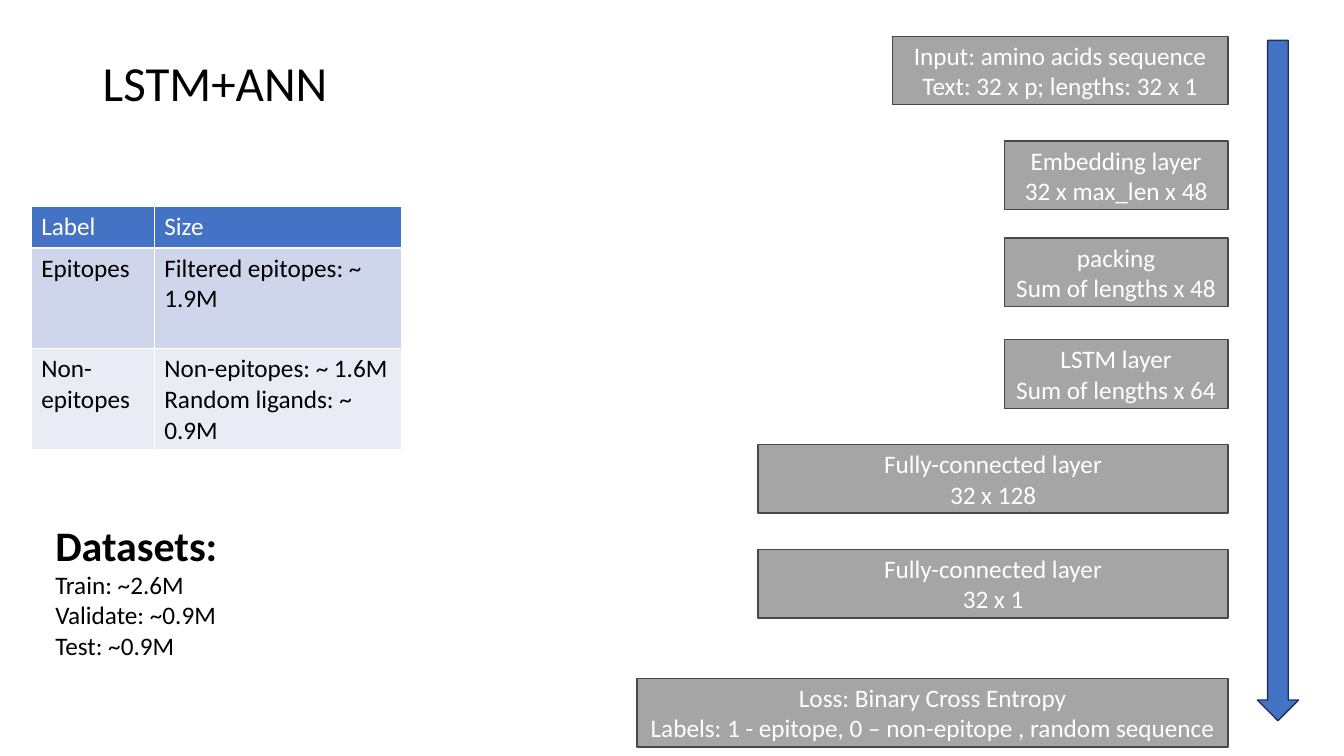
from pptx import Presentation
from pptx.dml.color import RGBColor
from pptx.enum.shapes import MSO_SHAPE
from pptx.enum.text import MSO_ANCHOR, PP_ALIGN
from pptx.util import Pt

PX = 9144
FONT = "Calibri"
COLORS = {
    "black": "000000",
    "white": "FFFFFF",
    "layer": "A5A5A5",
    "layer_line": "484848",
    "accent": "4472C4",
    "arrow_line": "1E3256",
    "odd_row": "CFD5EA",
    "even_row": "E9EBF5",
}
LAYERS = [
    (36, 333, "Input: amino acids sequence\nText: 32 x p; lengths: 32 x 1"),
    (140, 222, "Embedding layer\n32 x max_len x 48"),
    (236, 222, "packing\nSum of lengths x 48"),
    (337, 222, "LSTM layer\nSum of lengths x 64"),
    (441, 466, "Fully-connected layer\n32 x 128"),
    (545, 466, "Fully-connected layer\n32 x 1"),
    (673, 586, "Loss: Binary Cross Entropy\n"
               "Labels: 1 - epitope, 0 – non-epitope , random sequence"),
]
LABEL_ROWS = [
    ("Label", "Size"),
    ("Epitopes", "Filtered epitopes: ~ 1.9M"),
    ("Non-epitopes", "Non-epitopes: ~ 1.6M\nRandom ligands: ~ 0.9M"),
]


def rgb(name):
    """Return the named colour."""
    return RGBColor.from_string(COLORS[name])


def emu(*lengths):
    """Turn px lengths into EMU."""
    return [length * PX for length in lengths]


def style(p, size, color, bold=False):
    """Format every run of a paragraph."""
    for r in p.runs:
        r.font.name = FONT
        r.font.size = Pt(size)
        r.font.bold = bold
        r.font.color.rgb = rgb(color)


def add_box(slide, kind, box, fill, line):
    """Add a filled, outlined shape without shadow."""
    sp = slide.shapes.add_shape(kind, *emu(*box))
    sp.shadow.inherit = False
    sp.fill.solid()
    sp.fill.fore_color.rgb = rgb(fill)
    sp.line.color.rgb = rgb(line)
    sp.line.width = Pt(1)
    return sp


def add_text(slide, box):
    """Add an empty wrapping text box and return its frame."""
    tf = slide.shapes.add_textbox(*emu(*box)).text_frame
    tf.word_wrap = True
    return tf


def add_title(slide, box):
    """Add the slide title."""
    tf = add_text(slide, box)
    tf.vertical_anchor = MSO_ANCHOR.MIDDLE
    tf.text = "LSTM+ANN"
    p = tf.paragraphs[0]
    p.line_spacing = 0.9
    style(p, 35, "black")


def add_label_table(slide, box):
    """Add the table of label sizes."""
    x, y, w, h = box
    shape = slide.shapes.add_table(len(LABEL_ROWS), 2, *emu(x, y, w, h))
    table = shape.table
    header_h, label_w = 41, 122
    body_h = (h - header_h) // 2
    for column, width in zip(table.columns, emu(label_w, w - label_w)):
        column.width = width
    for row, height in zip(table.rows, emu(header_h, body_h, body_h)):
        row.height = height
    fills = ("accent", "odd_row", "even_row")
    for i, (texts, fill) in enumerate(zip(LABEL_ROWS, fills)):
        for j, text in enumerate(texts):
            cell = table.cell(i, j)
            cell.fill.solid()
            cell.fill.fore_color.rgb = rgb(fill)
            cell.text_frame.text = text
            for p in cell.text_frame.paragraphs:
                style(p, 18, "black" if i else "white")


def add_datasets(slide, box):
    """Add the list of dataset sizes."""
    tf = add_text(slide, box)
    heading = tf.paragraphs[0]
    heading.text = "Datasets:"
    style(heading, 30, "black", bold=True)
    p = tf.add_paragraph()
    p.text = "Train: ~2.6M\nValidate: ~0.9M\nTest: ~0.9M"
    style(p, 18, "black")


def add_network(slide, box):
    """Add the right-aligned layers and the arrow beside them."""
    x, y, w, h = box
    arrow_w, gap = 41, 29
    right = x + w - arrow_w - gap
    for top, width, text in LAYERS:
        sp = add_box(slide, MSO_SHAPE.RECTANGLE,
                     (right - width, y + top, width, 68),
                     "layer", "layer_line")
        tf = sp.text_frame
        tf.vertical_anchor = MSO_ANCHOR.MIDDLE
        tf.text = text
        for p in tf.paragraphs:
            p.alignment = PP_ALIGN.CENTER
            style(p, 18, "white")
    add_box(slide, MSO_SHAPE.DOWN_ARROW,
            (right + gap, y + 40, arrow_w, h - 75), "accent", "arrow_line")


def main():
    """Build the slide and save it."""
    prs = Presentation()
    prs.slide_width, prs.slide_height = emu(1333, 750)
    slide = prs.slides.add_slide(prs.slide_layouts[6])
    add_title(slide, (92, 40, 248, 90))
    add_network(slide, (632, 0, 656, 750))
    add_datasets(slide, (45, 510, 294, 151))
    add_label_table(slide, (31, 205, 367, 241))
    prs.save("out.pptx")


if __name__ == "__main__":
    main()
